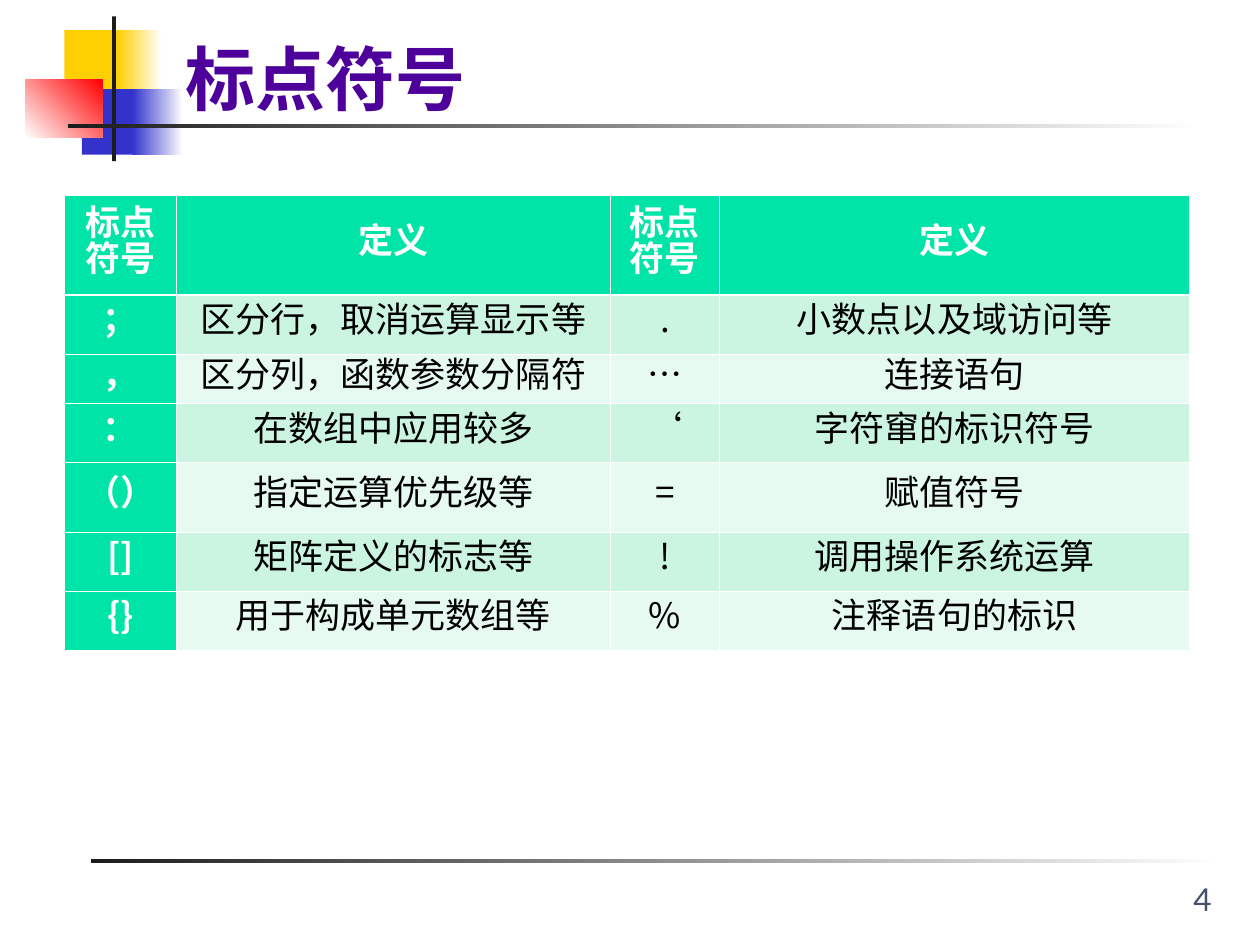
from lxml import etree
from pptx import Presentation
from pptx.dml.color import RGBColor
from pptx.enum.lang import MSO_LANGUAGE_ID
from pptx.enum.shapes import MSO_SHAPE
from pptx.enum.text import MSO_ANCHOR, PP_ALIGN
from pptx.oxml.ns import qn
from pptx.util import Cm, Pt

RECT = MSO_SHAPE.RECTANGLE
LEFT, MID, RIGHT = PP_ALIGN.LEFT, PP_ALIGN.CENTER, PP_ALIGN.RIGHT
BASE, CENTRE = MSO_ANCHOR.BOTTOM, MSO_ANCHOR.MIDDLE
CHINESE = MSO_LANGUAGE_ID.SIMPLIFIED_CHINESE


class Theme:
    gold, blue, red, ink = "FFCF01", "3333CC", "FF0000", "1C1C1C"
    white, black, purple, slate = "FFFFFF", "000000", "4D009A", "45516B"
    green, mint, pale = "00E4A8", "CBF5E1", "E7FAF1"
    han, latin = "Noto Sans CJK SC", "Lato"
    title, body, page = 40, 20, 18
    thin, thick, lead = 0.45, 1.47, 21


def write(frame, text, size=Theme.body, color=Theme.black, face=Theme.han,
          bold=False, align=LEFT, lead=None):
    frame.word_wrap = True
    para = frame.paragraphs[0]
    para.alignment = align
    if lead:
        para.line_spacing = Pt(lead)
    run = para.add_run()
    run.text = text
    font = run.font
    font.size, font.bold, font.name = Pt(size), bold, face
    font.language_id = CHINESE
    font.color.rgb = RGBColor.from_string(color)
    east = etree.SubElement(run._r.get_or_add_rPr(), qn("a:ea"))
    east.set("typeface", face)


def block(box, start, end=None, angle=0):
    shape = slide.shapes.add_shape(RECT, *map(Cm, box))
    shape.shadow.inherit = False
    shape.line.fill.background()
    if end is None:
        shape.fill.solid()
        shape.fill.fore_color.rgb = RGBColor.from_string(start)
        return
    shape.fill.gradient()
    shape.fill.gradient_angle = angle
    for stop, color, place in zip(shape.fill.gradient_stops, (start, end), (0, 1)):
        stop.color.rgb = RGBColor.from_string(color)
        stop.position = place


deck = Presentation()
deck.slide_width, deck.slide_height = Cm(25.4), Cm(19.05)
slide = deck.slides.add_slide(deck.slide_layouts[6])

# Corner squares and rules
block((1.3, 0.61, 1.22, 1.32), Theme.gold)
block((2.36, 0.61, 0.91, 1.32), Theme.gold, Theme.white)
block((1.65, 1.8, 1.17, 1.32), Theme.blue)
block((2.67, 1.8, 1.02, 1.32), Theme.blue, Theme.white)
block((0.51, 1.6, 1.55, 1.17), Theme.white, Theme.red, angle=45)
block((2.26, 0.33, 0.08, 2.92), Theme.ink)
for left, top in ((1.37, 2.51), (1.83, 17.32)):
    block((left, top, 22.86, 0.08), Theme.ink, Theme.white)

# Title and page number
title = slide.shapes.add_textbox(Cm(3.5), Cm(0.33), Cm(21.64), Cm(2.21)).text_frame
title.vertical_anchor = BASE
write(title, "标点符号", size=Theme.title, color=Theme.purple, bold=True)

page = slide.shapes.add_textbox(Cm(19.1), Cm(17.35), Cm(5.74), Cm(1.27)).text_frame
page.vertical_anchor = BASE
write(page, "4 ", size=Theme.page, color=Theme.slate, face=Theme.latin, align=RIGHT)

# Table of punctuation marks
rows = [
    ("标点符号", "定义", "标点符号", "定义"),
    ("；", "区分行，取消运算显示等", ".", "小数点以及域访问等"),
    ("，", "区分列，函数参数分隔符", "…", "连接语句"),
    ("：", "在数组中应用较多", "‘", "字符窜的标识符号"),
    ("（）", "指定运算优先级等", "=", "赋值符号"),
    ("[]", "矩阵定义的标志等", "!", "调用操作系统运算"),
    ("{}", "用于构成单元数组等", "%", "注释语句的标识"),
]
wide = (2.26, 8.74, 2.21, 9.47)
high = (2.01, 1.19, 0.99, 1.19, 1.4, 1.19, 1.19)
table = slide.shapes.add_table(len(rows), len(wide), Cm(1.3), Cm(3.94),
                               Cm(sum(wide)), Cm(sum(high))).table
for col, size in zip(table.columns, wide):
    col.width = Cm(size)
for row, size in zip(table.rows, high):
    row.height = Cm(size)

for r, row in enumerate(rows):
    for c, text in enumerate(row):
        cell = table.cell(r, c)
        head = r == 0 or c == 0
        cell.vertical_anchor = CENTRE
        cell.margin_left = cell.margin_right = Cm(0.2)
        write(cell.text_frame, text, color=Theme.white if head else Theme.black,
              bold=head, align=MID, lead=Theme.lead)

        # Borders come before the fill; the line under the header is thicker
        for side in ("lnL", "lnR", "lnT", "lnB"):
            heavy = (r, side) in ((0, "lnB"), (1, "lnT"))
            line = etree.SubElement(cell._tc.get_or_add_tcPr(), qn("a:" + side))
            line.set("w", str(Pt(Theme.thick if heavy else Theme.thin)))
            paint = etree.SubElement(line, qn("a:solidFill"))
            etree.SubElement(paint, qn("a:srgbClr")).set("val", Theme.white)

        band = Theme.mint if r % 2 else Theme.pale
        cell.fill.solid()
        cell.fill.fore_color.rgb = RGBColor.from_string(Theme.green if head else band)

deck.save("out.pptx")
